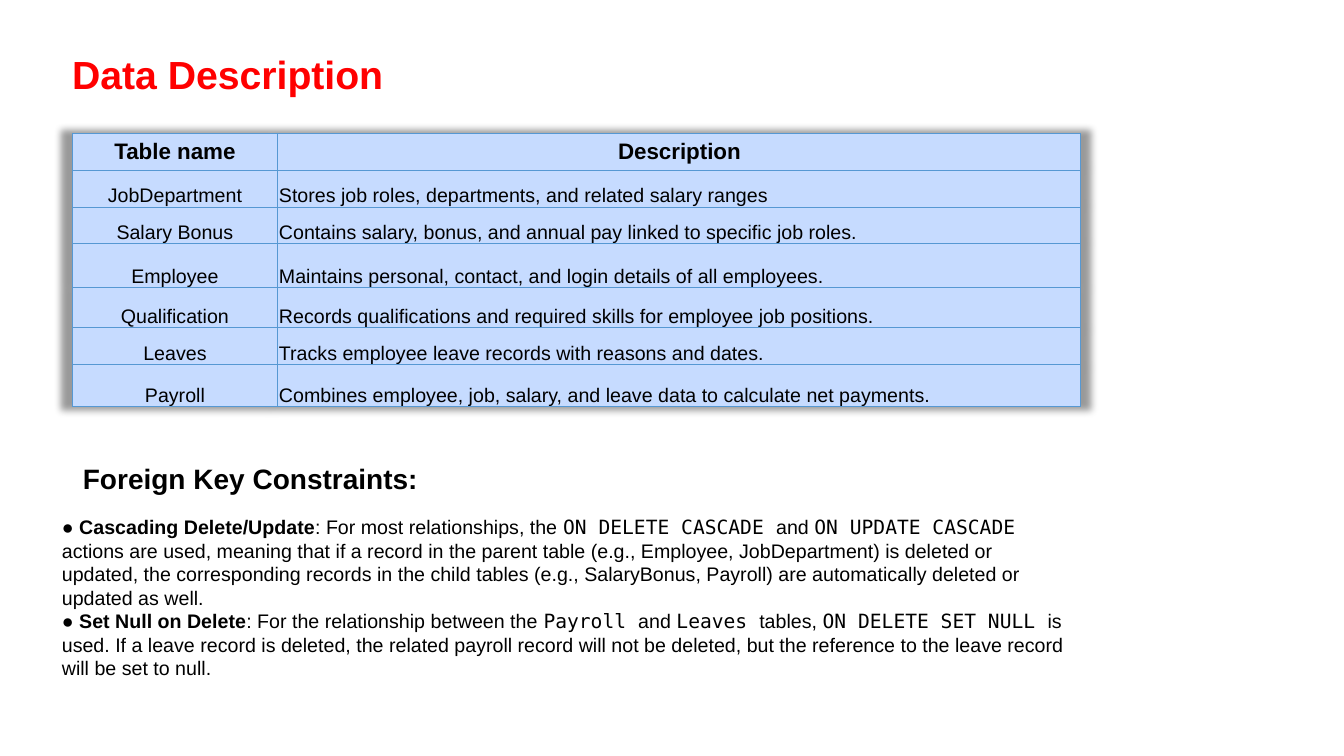
from lxml.etree import SubElement
from pptx import Presentation
from pptx.dml.color import RGBColor
from pptx.enum.text import MSO_ANCHOR as Anchor, MSO_AUTO_SIZE as AutoSize, PP_ALIGN as Align
from pptx.oxml import parse_xml
from pptx.oxml.ns import nsdecls, qn
from pptx.util import Emu, Pt

EMU_PER_PX = 914400 / 100.8
SANS = "Arial"
MONO = "DejaVu Sans Mono"
BLACK = "000000"
RED = "FF0000"
TABLE_FILL = "C6DBFF"
TABLE_LINE = "5698D3"

COLUMN_WIDTHS = [206, 803]
ROW_HEIGHTS = [37, 37, 37, 44, 40, 37, 42]
TABLE_ROWS = [
    ("Table name", "Description"),
    ("JobDepartment", "Stores job roles, departments, and related salary ranges"),
    ("Salary Bonus", "Contains salary, bonus, and annual pay linked to specific job roles."),
    ("Employee", "Maintains personal, contact, and login details of all employees."),
    ("Qualification", "Records qualifications and required skills for employee job positions."),
    ("Leaves", "Tracks employee leave records with reasons and dates."),
    ("Payroll", "Combines employee, job, salary, and leave data to calculate net payments."),
]

PLAIN = {}
BOLD = {"bold": True}
CODE = {"font": MONO}
CONSTRAINTS = [
    [
        ("● ", PLAIN),
        ("Cascading Delete/Update", BOLD),
        (": For most relationships, the ", PLAIN),
        ("ON DELETE CASCADE ", CODE),
        ("and ", PLAIN),
        ("ON UPDATE CASCADE ", CODE),
        ("actions are used, meaning that if a record in the parent table "
         "(e.g., Employee, JobDepartment) is deleted or updated, the corresponding "
         "records in the child tables (e.g., SalaryBonus, Payroll) are automatically "
         "deleted or updated as well.", PLAIN),
    ],
    [
        ("● ", PLAIN),
        ("Set Null on Delete", BOLD),
        (": For the relationship between the ", PLAIN),
        ("Payroll ", CODE),
        ("and ", PLAIN),
        ("Leaves ", CODE),
        ("tables, ", PLAIN),
        ("ON DELETE SET NULL ", CODE),
        ("is used. If a leave record is deleted, the related payroll record will not "
         "be deleted, but the reference to the leave record will be set to null.", PLAIN),
    ],
]


def px(length):
    return Emu(round(length * EMU_PER_PX))


def color(hex_code):
    return RGBColor.from_string(hex_code)


def write(paragraph, text, size=14, bold=False, font=SANS, fill=BLACK, align=Align.LEFT):
    paragraph.alignment = align
    run = paragraph.add_run()
    run.text = text
    run.font.size = Pt(size)
    run.font.bold = bold
    run.font.name = font
    run.font.color.rgb = color(fill)


def add_title(slide, text):
    title = slide.shapes.title
    title.left, title.top, title.width, title.height = map(px, (62, 43, 672, 61))
    title.text_frame.auto_size = AutoSize.NONE
    title.text_frame.vertical_anchor = Anchor.MIDDLE
    write(title.text_frame.paragraphs[0], text, size=28, bold=True, fill=RED)


def add_text_area(slide, left, top, width, height):
    frame = slide.shapes.add_textbox(*map(px, (left, top, width, height))).text_frame
    frame.word_wrap = True
    return frame


def outline_cell(cell):
    properties = cell._tc.get_or_add_tcPr()
    for side in ("lnL", "lnR", "lnT", "lnB"):
        line = SubElement(properties, qn(f"a:{side}"), w=str(Pt(0.75)))
        SubElement(SubElement(line, qn("a:solidFill")), qn("a:srgbClr"), val=TABLE_LINE)


def add_table_shadow(table):
    shadow = parse_xml(
        f'<a:effectLst {nsdecls("a")}>'
        '<a:outerShdw blurRad="63500" sx="102000" sy="102000" algn="ctr" rotWithShape="0">'
        '<a:srgbClr val="000000"><a:alpha val="40000"/></a:srgbClr>'
        '</a:outerShdw></a:effectLst>'
    )
    table._tbl.tblPr.insert(0, shadow)


def format_cell(cell, text, is_header, is_centered):
    outline_cell(cell)
    cell.fill.solid()
    cell.fill.fore_color.rgb = color(TABLE_FILL)
    cell.margin_left = cell.margin_right = cell.margin_top = px(1)
    cell.margin_bottom = 0
    cell.vertical_anchor = Anchor.MIDDLE if is_header else Anchor.BOTTOM
    write(cell.text_frame.paragraphs[0], text, size=16 if is_header else 14,
          bold=is_header, align=Align.CENTER if is_centered else Align.LEFT)


def add_descriptions(slide, left, top):
    bounds = map(px, (left, top, sum(COLUMN_WIDTHS), sum(ROW_HEIGHTS)))
    table = slide.shapes.add_table(len(ROW_HEIGHTS), len(COLUMN_WIDTHS), *bounds).table
    add_table_shadow(table)
    for column, width in zip(table.columns, COLUMN_WIDTHS):
        column.width = px(width)
    for row_index, (row, height) in enumerate(zip(table.rows, ROW_HEIGHTS)):
        row.height = px(height)
        is_header = row_index == 0
        for column_index, text in enumerate(TABLE_ROWS[row_index]):
            format_cell(table.cell(row_index, column_index), text, is_header,
                        is_header or column_index == 0)


def add_constraints(slide):
    frame = add_text_area(slide, 52, 510, 1030, 177)
    for index, parts in enumerate(CONSTRAINTS):
        paragraph = frame.add_paragraph() if index else frame.paragraphs[0]
        paragraph.line_spacing = Pt(16.8)
        for text, style in parts:
            write(paragraph, text, **style)


def main():
    deck = Presentation()
    deck.slide_width, deck.slide_height = px(1344), px(756)
    slide = deck.slides.add_slide(deck.slide_layouts[5])
    add_title(slide, "Data Description")
    add_descriptions(slide, 72, 133)
    heading = add_text_area(slide, 73, 457, 672, 44)
    write(heading.paragraphs[0], "Foreign Key Constraints:", size=20, bold=True)
    add_constraints(slide)
    deck.save("out.pptx")


if __name__ == "__main__":
    main()
